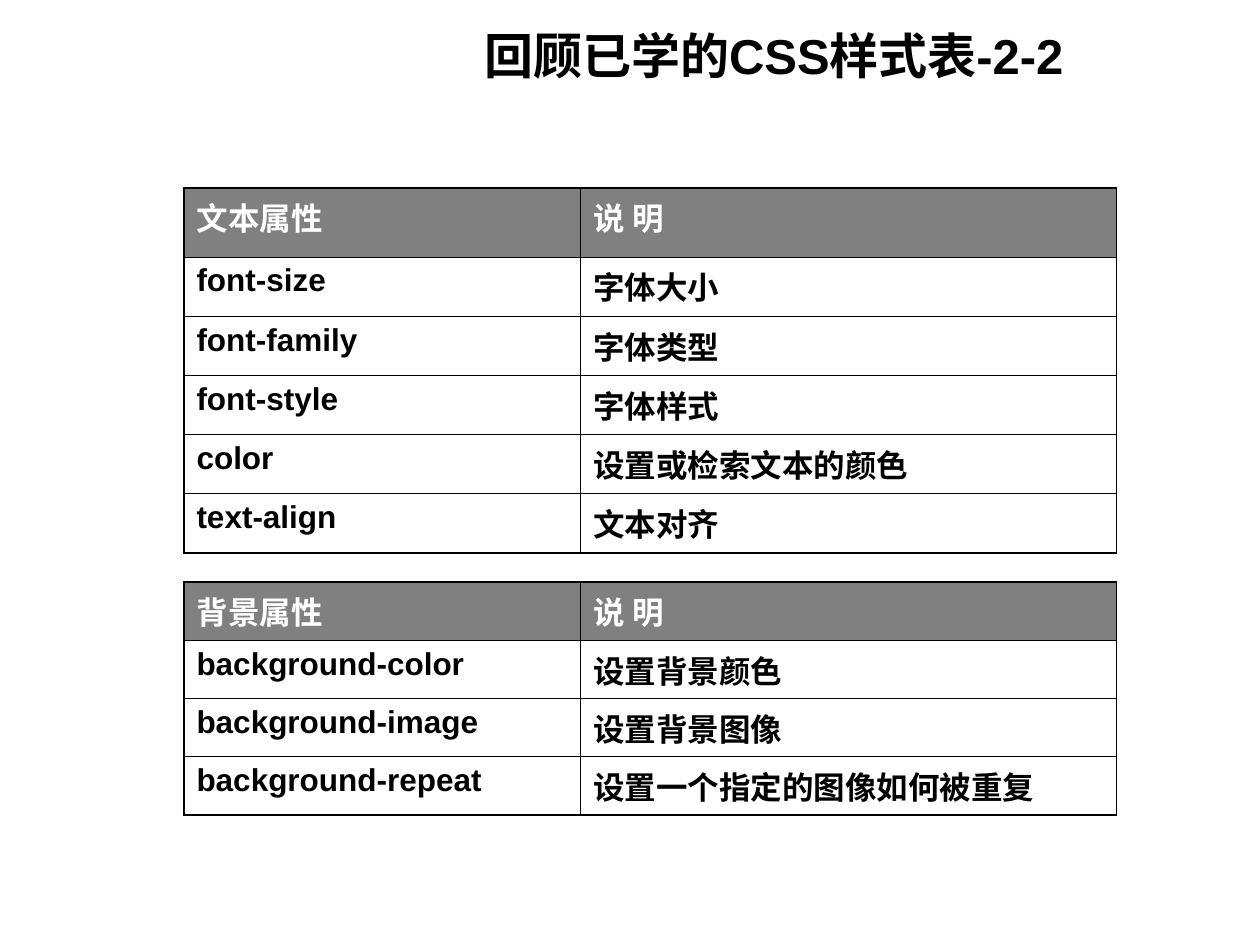
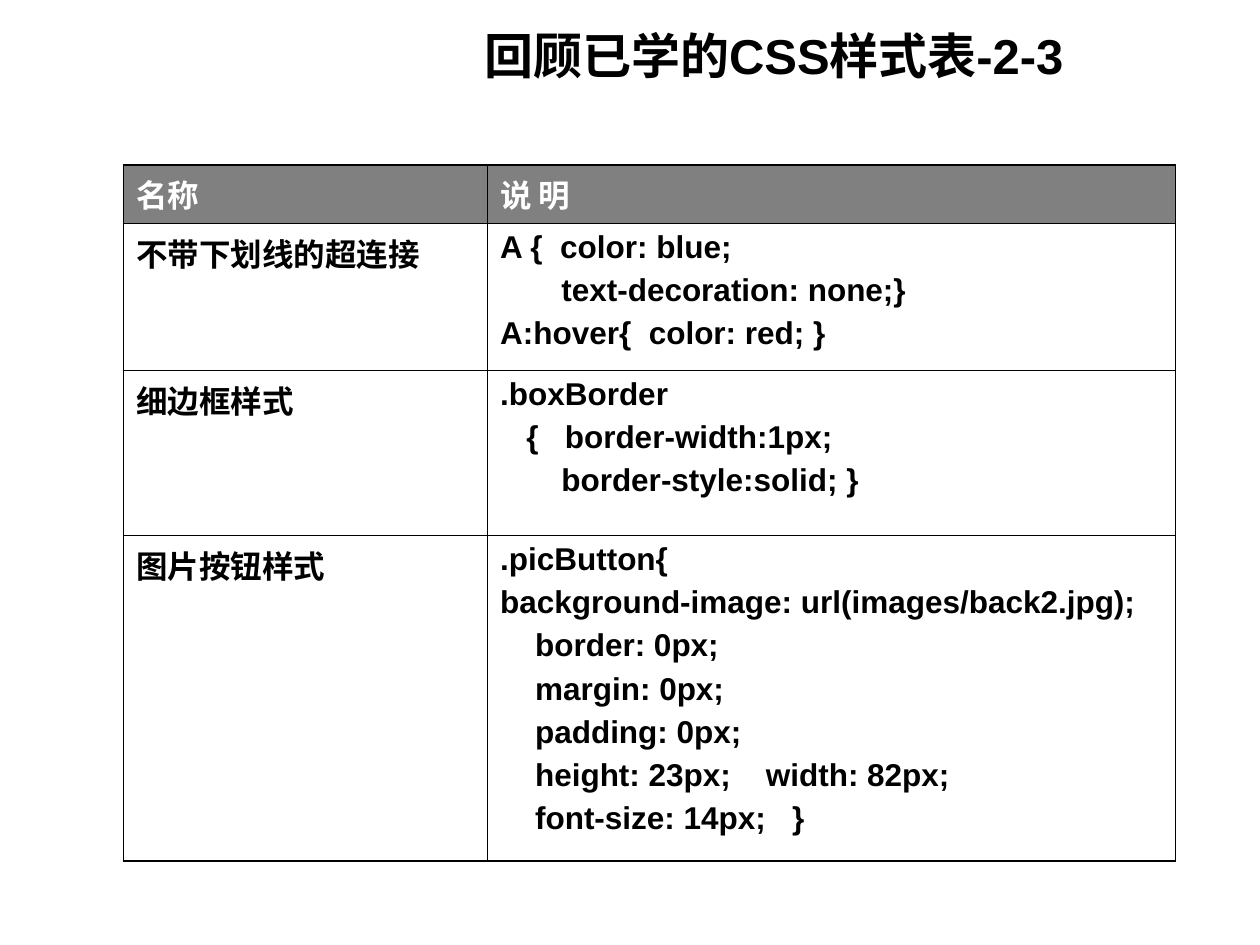
from lxml import etree
from pptx import Presentation
from pptx.dml.color import RGBColor
from pptx.enum.text import MSO_ANCHOR, MSO_AUTO_SIZE, PP_ALIGN
from pptx.oxml.ns import qn
from pptx.util import Inches, Pt

RIGHT = PP_ALIGN.RIGHT
MIDDLE = MSO_ANCHOR.MIDDLE
NO_AUTOFIT = MSO_AUTO_SIZE.NONE
TITLE_ONLY = 5

BLACK, WHITE, GRAY = "000000", "FFFFFF", "808080"
LATIN, CHINESE = "Arial", "Noto Sans CJK SC"
TITLE_SIZE, CELL_SIZE = 28, 18
TITLE_BOX = (-0.46, 0, 9, 0.87)
OUTER_LINE, INNER_LINE = 1.08, 0.45

TEXT_TABLE = {
    "position": (1.46, 1.49),
    "columns": [3.15, 4.25],
    "rows": [0.55] + [0.47] * 5,
    "header_font": LATIN,
    "cells": [
        ("文本属性", "说 明"),
        ("font-size", "字体大小"),
        ("font-family", "字体类型"),
        ("font-style", "字体样式"),
        ("color", "设置或检索文本的颜色"),
        ("text-align", "文本对齐"),
    ],
}

BACKGROUND_TABLE = {
    "position": (1.46, 4.62),
    "columns": [3.15, 4.25],
    "rows": [0.4] * 4,
    "header_font": CHINESE,
    "cells": [
        ("背景属性", "说 明"),
        ("background-color", "设置背景颜色"),
        ("background-image", "设置背景图像"),
        ("background-repeat", "设置一个指定的图像如何被重复"),
    ],
}

LINK_RULES = """A {  color: blue;
       text-decoration: none;}
A:hover{  color: red; }"""

BORDER_RULES = """.boxBorder
   {   border-width:1px;
       border-style:solid; }"""

BUTTON_RULES = """.picButton{
background-image: url(images/back2.jpg);
    border: 0px;
    margin: 0px;
    padding: 0px;
    height: 23px;    width: 82px;
    font-size: 14px;   }"""

STYLE_TABLE = {
    "position": (0.98, 1.31),
    "columns": [2.89, 5.46],
    "rows": [0.4, 1.17, 1.31, 2.58],
    "header_font": CHINESE,
    "cells": [
        ("名称", "说 明"),
        ("不带下划线的超连接", LINK_RULES),
        ("细边框样式", BORDER_RULES),
        ("图片按钮样式", BUTTON_RULES),
    ],
}

SLIDES = [
    ("回顾已学的CSS样式表-2-2", [TEXT_TABLE, BACKGROUND_TABLE]),
    ("回顾已学的CSS样式表-2-3", [STYLE_TABLE]),
]


def rgb(color):
    return RGBColor.from_string(color)


def format_font(paragraph, size, color, name):
    font = paragraph.font
    font.size = Pt(size)
    font.bold = True
    font.color.rgb = rgb(color)
    font.name = name


def add_title(slide, text):
    title = slide.shapes.title
    title.left, title.top, title.width, title.height = map(Inches, TITLE_BOX)
    frame = title.text_frame
    frame.text = text
    frame.word_wrap = True
    frame.auto_size = NO_AUTOFIT
    frame.vertical_anchor = MIDDLE
    paragraph = frame.paragraphs[0]
    paragraph.alignment = RIGHT
    format_font(paragraph, TITLE_SIZE, BLACK, LATIN)


def add_borders(cell, outer_edges):
    properties = cell._tc.get_or_add_tcPr()
    for index, (side, is_outer) in enumerate(outer_edges.items()):
        width = OUTER_LINE if is_outer else INNER_LINE
        line = etree.Element(qn(f"a:ln{side}"), w=str(int(Pt(width))))
        fill = etree.SubElement(line, qn("a:solidFill"))
        etree.SubElement(fill, qn("a:srgbClr"), val=BLACK)
        properties.insert(index, line)


def fill_cell(cell, text, is_header, font_name):
    cell.text = text
    cell.fill.solid()
    cell.fill.fore_color.rgb = rgb(GRAY if is_header else WHITE)
    cell.margin_left = cell.margin_right = Inches(0.1)
    cell.margin_top = cell.margin_bottom = Inches(0.05)
    for index, paragraph in enumerate(cell.text_frame.paragraphs):
        paragraph.space_before = Pt(4.5 if index else 0)
        format_font(paragraph, CELL_SIZE, WHITE if is_header else BLACK, font_name)


def add_property_table(slide, content):
    columns, rows = content["columns"], content["rows"]
    left, top = content["position"]
    frame = slide.shapes.add_table(
        len(rows), len(columns), Inches(left), Inches(top),
        Inches(sum(columns)), Inches(sum(rows)))
    table = frame.table
    for column, width in zip(table.columns, columns):
        column.width = Inches(width)
    for row, height in zip(table.rows, rows):
        row.height = Inches(height)
    for row_index, texts in enumerate(content["cells"]):
        is_header = row_index == 0
        font_name = content["header_font"] if is_header else LATIN
        for column_index, text in enumerate(texts):
            cell = table.cell(row_index, column_index)
            fill_cell(cell, text, is_header, font_name)
            add_borders(cell, {
                "L": column_index == 0,
                "R": column_index == len(columns) - 1,
                "T": is_header,
                "B": row_index == len(rows) - 1,
            })


def main():
    presentation = Presentation()
    presentation.slide_width = Inches(10)
    presentation.slide_height = Inches(7.5)
    for title, tables in SLIDES:
        slide = presentation.slides.add_slide(presentation.slide_layouts[TITLE_ONLY])
        add_title(slide, title)
        for content in tables:
            add_property_table(slide, content)
    presentation.save("out.pptx")


if __name__ == "__main__":
    main()
